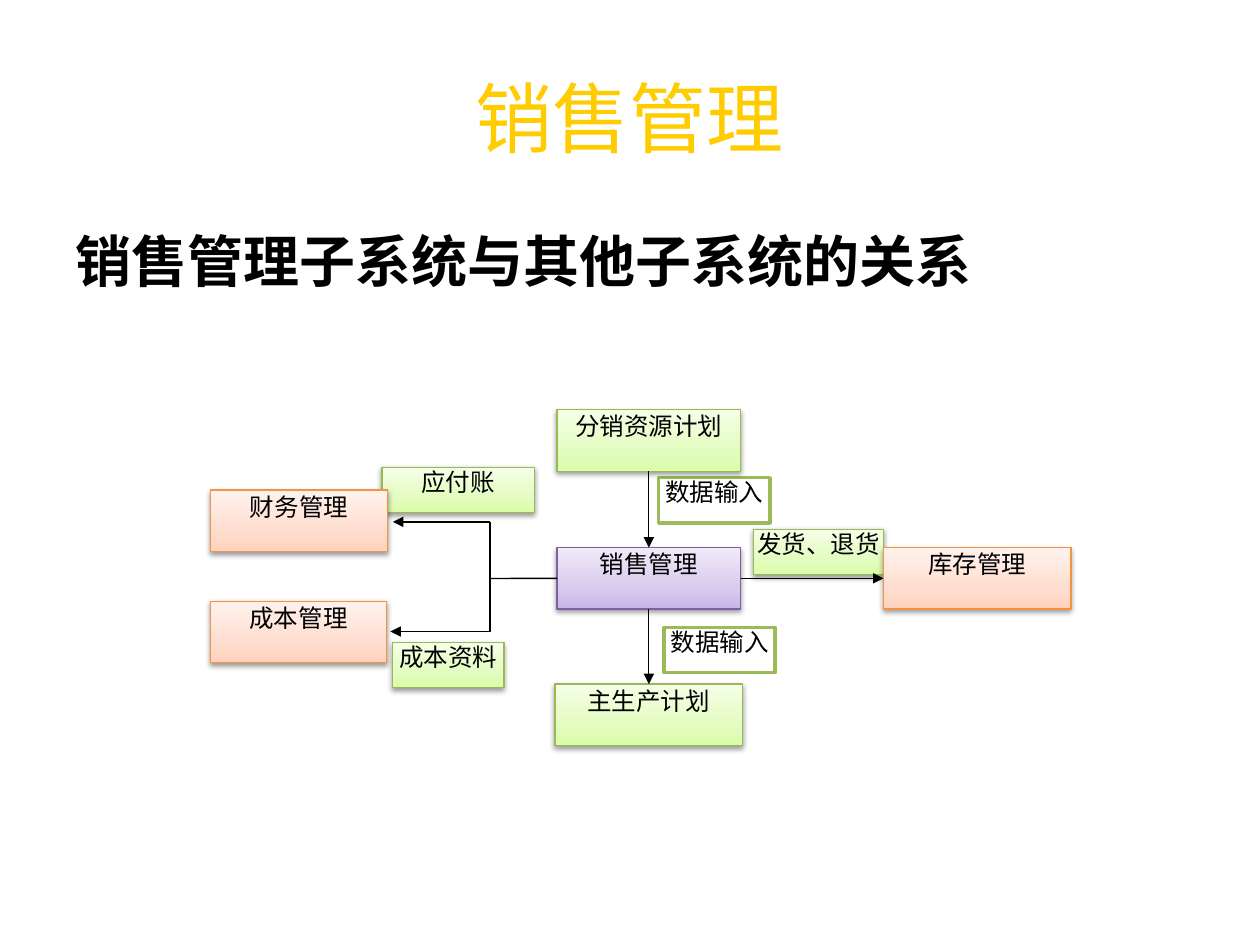
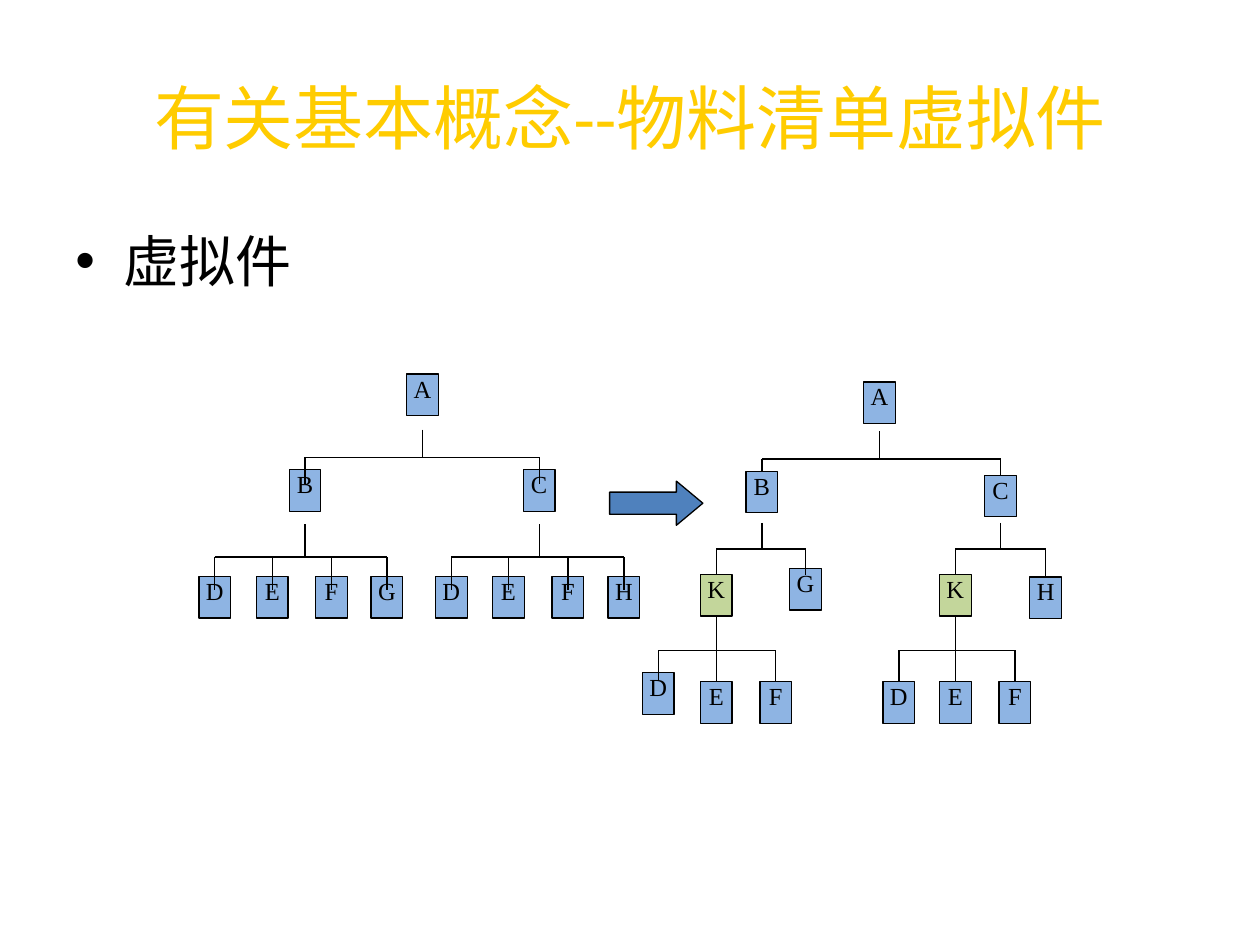
from copy import deepcopy
from dataclasses import dataclass, field
from typing import Any, Optional

import pptx
import pptx.dml.color
import pptx.enum.shapes
import pptx.enum.text
import pptx.oxml
import pptx.oxml.ns
import pptx.util
from lxml import etree

Cm = pptx.util.Cm
Pt = pptx.util.Pt
RGBColor = pptx.dml.color.RGBColor
Preset = pptx.enum.shapes.MSO_SHAPE
Align = pptx.enum.text.PP_ALIGN
Anchor = pptx.enum.text.MSO_ANCHOR
qn = pptx.oxml.ns.qn

BLACK = RGBColor(0x00, 0x00, 0x00)
WHITE = RGBColor(0xFF, 0xFF, 0xFF)
GOLD = RGBColor(0xFF, 0xCC, 0x00)
PART_BLUE = RGBColor(0x8E, 0xB4, 0xE3)
PHANTOM_GREEN = RGBColor(0xC3, 0xD6, 0x9B)
ARROW_BLUE = RGBColor(0x4F, 0x81, 0xBD)
LABEL_GREEN = RGBColor(0x9B, 0xBB, 0x59)

LATIN = "Calibri"
SERIF = "Times New Roman"
CHINESE = "Noto Sans CJK SC"

TOP, LEFT, BOTTOM, RIGHT = range(4)
NODE_WIDTH, NODE_HEIGHT = 0.64, 0.84
MODULE_HEIGHT, FLOW_HEIGHT = 1.24, 0.91
HANGING = 0.97


@dataclass(frozen=True)
class Style:
    """Look of a box; several fills make a gradient from bottom to top."""
    fills: tuple[RGBColor, ...]
    line: RGBColor = BLACK
    width: float = 0.75
    font: str = LATIN
    spacing: float = 0.96


@dataclass(frozen=True)
class Box:
    text: str
    left: float
    top: float
    width: float
    height: float
    style: Style


@dataclass(frozen=True)
class Node:
    """Part in a bill of materials; pierce is how far its line runs into it."""
    label: str
    center: float
    top: float
    pierce: float = 0
    children: list["Node"] = field(default_factory=list)
    bar: float = 0
    gap: float = 0


GREEN = Style((RGBColor(0xDA, 0xFD, 0xA7), RGBColor(0xE4, 0xFC, 0xC2), RGBColor(0xF5, 0xFF, 0xE7)),
              RGBColor(0x98, 0xB9, 0x55))
PURPLE = Style((RGBColor(0xC9, 0xB5, 0xE8), RGBColor(0xD8, 0xCB, 0xEE), RGBColor(0xF0, 0xEA, 0xF9)),
               RGBColor(0x7D, 0x60, 0xA0), spacing=1.0)
ORANGE = Style((RGBColor(0xFF, 0xD2, 0xBD), RGBColor(0xFF, 0xDE, 0xD0), RGBColor(0xFF, 0xF2, 0xED)),
               RGBColor(0xF6, 0x92, 0x40), spacing=1.0)
GREEN_MODULE = Style(GREEN.fills, GREEN.line, spacing=1.0)
OUTLINED = Style((WHITE,), LABEL_GREEN, 2)
PART = Style((PART_BLUE,), font=SERIF)
PHANTOM = Style((PHANTOM_GREEN,), font=SERIF)

FLOW_LABELS = [
    Box("应付账", 7.7, 9.42, 3.07, FLOW_HEIGHT, GREEN),
    Box("发货、退货", 15.19, 10.67, 2.62, FLOW_HEIGHT, GREEN),
    Box("成本资料", 7.92, 12.95, 2.24, FLOW_HEIGHT, GREEN),
    Box("数据输入", 13.28, 9.63, 2.24, FLOW_HEIGHT, OUTLINED),
    Box("数据输入", 13.39, 12.65, 2.24, FLOW_HEIGHT, OUTLINED),
]
MODULES = [
    Box("分销资源计划", 11.23, 8.26, 3.7, MODULE_HEIGHT, GREEN_MODULE),
    Box("销售管理", 11.23, 11.04, 3.7, MODULE_HEIGHT, PURPLE),
    Box("财务管理", 4.24, 9.88, 3.58, MODULE_HEIGHT, ORANGE),
    Box("库存管理", 17.81, 11.04, 3.78, MODULE_HEIGHT, ORANGE),
    Box("成本管理", 4.24, 12.12, 3.56, MODULE_HEIGHT, ORANGE),
    Box("主生产计划", 11.19, 13.79, 3.78, MODULE_HEIGHT, GREEN_MODULE),
]


def leaves(labels: str, centers: list[float], top: float, pierce: float = 0) -> list[Node]:
    return [Node(label, center, top, pierce) for label, center in zip(labels, centers)]


FULL_TREE = Node("A", 8.52, 7.54, bar=9.22, gap=0.28, children=[
    Node("B", 6.15, 9.47, 0.28, leaves("DEFG", [4.33, 5.49, 6.68, 7.8], 11.62, 0.27), 11.23, 0.26),
    Node("C", 10.87, 9.47, 0.28, leaves("DEFH", [9.1, 10.25, 11.45, 12.58], 11.62, 0.27), 11.23, 0.26),
])
PHANTOM_TREE = Node("A", 17.73, 7.7, bar=9.25, gap=0.15, children=[
    Node("B", 15.36, 9.5, bar=11.07, gap=0.2, children=[
        Node("K", 14.44, 11.58, bar=13.11, children=[
            Node("D", 13.27, 13.56, 0.16), *leaves("EF", [14.44, 15.64], 13.74)]),
        Node("G", 16.24, 11.46, 0.14),
    ]),
    Node("C", 20.17, 9.58, bar=11.07, gap=0.12, children=[
        Node("K", 19.26, 11.58, bar=13.11, children=leaves("DEF", [18.12, 19.26, 20.46], 13.74)),
        Node("H", 21.08, 11.63),
    ]),
])


def set_format(target: Any, values: dict[str, Any]) -> None:
    for name, value in values.items():
        setattr(target, name, value)


def write(para: Any, text: str, size: float, color: RGBColor, font: str = LATIN, bold: bool = False) -> None:
    span = para.add_run()
    span.text = text
    set_format(span.font, {"size": Pt(size), "name": font, "bold": bold})
    span.font.color.rgb = color
    latin = span.font._element.find(qn("a:latin"))
    east_asian = deepcopy(latin)
    east_asian.tag = qn("a:ea")
    east_asian.set("typeface", CHINESE)
    latin.addnext(east_asian)


def add_text(page: Any, top: float, height: float, anchor: Any) -> Any:
    frame = page.shapes.add_textbox(Cm(1.27), Cm(top), Cm(22.86), Cm(height)).text_frame
    set_format(frame, {"word_wrap": True, "vertical_anchor": anchor})
    return frame.paragraphs[0]


def add_page(deck: Any, title: str, title_size: float, heading: str, bullet: bool) -> Any:
    """Add a page with its title and either a bulleted or a bold heading."""
    page = deck.slides.add_slide(deck.slide_layouts[6])
    para = add_text(page, 0.76, 3.18, Anchor.MIDDLE)
    para.alignment = Align.CENTER
    write(para, title, title_size, GOLD)

    para = add_text(page, 4.45, 12.57, Anchor.TOP)
    properties = para._p.get_or_add_pPr()
    properties.set("marL", str(Cm(HANGING)))
    properties.set("indent", str(-Cm(HANGING)))
    if bullet:
        etree.SubElement(properties, qn("a:buFont")).set("typeface", "Arial")
        etree.SubElement(properties, qn("a:buChar")).set("char", "•")
    write(para, heading, 32, BLACK, LATIN if bullet else CHINESE, not bullet)
    return page


def fill_gradient(shape: Any, colors: tuple[RGBColor, ...]) -> None:
    shape.fill.gradient()
    shape.fill.gradient_angle = 90
    first = shape._element.spPr.find(qn("a:gradFill")).find(qn("a:gsLst"))[0]
    first.addnext(deepcopy(first))
    for stop, color, position in zip(shape.fill.gradient_stops, colors, (0, 0.35, 1)):
        stop.color.rgb = color
        stop.position = position


def add_shadow(shape: Any) -> None:
    effects = shape._element.spPr.find(qn("a:effectLst"))
    shadow = etree.SubElement(effects, qn("a:outerShdw"), blurRad=str(Pt(3.1)), dist=str(Pt(1.6)),
                              dir="5400000", rotWithShape="0")
    color = etree.SubElement(shadow, qn("a:srgbClr"), val=str(BLACK))
    etree.SubElement(color, qn("a:alpha"), val="38000")


def add_shape(page: Any, preset: Any, left: float, top: float, width: float, height: float, style: Style) -> Any:
    shape = page.shapes.add_shape(preset, Cm(left), Cm(top), Cm(width), Cm(height))
    shape.shadow.inherit = False
    shape.line.color.rgb = style.line
    shape.line.width = Pt(style.width)
    if len(style.fills) > 1:
        fill_gradient(shape, style.fills)
        add_shadow(shape)
    else:
        shape.fill.solid()
        shape.fill.fore_color.rgb = style.fills[0]
    return shape


def add_box(page: Any, box: Box) -> Any:
    shape = add_shape(page, Preset.RECTANGLE, box.left, box.top, box.width, box.height, box.style)
    frame = shape.text_frame
    set_format(frame, {"word_wrap": True, "vertical_anchor": Anchor.TOP,
                       "margin_left": Cm(0.05), "margin_right": Cm(0.05),
                       "margin_top": Cm(0.03), "margin_bottom": Cm(0.03)})
    para = frame.paragraphs[0]
    set_format(para, {"alignment": Align.CENTER, "line_spacing": box.style.spacing})
    write(para, box.text, 14, BLACK, box.style.font)
    return shape


def add_line(page: Any, start: tuple[float, float], end: tuple[float, float], arrow: bool = False,
             source: Optional[tuple[Any, int]] = None, target: Optional[tuple[Any, int]] = None) -> None:
    """Draw a line; source and target name a box and the side to join."""
    line = page.shapes.add_connector(pptx.enum.shapes.MSO_CONNECTOR.STRAIGHT, *map(Cm, start + end))
    line.line.color.rgb = BLACK
    line.line.width = Pt(0.75)
    etree.SubElement(line._element.spPr, qn("a:effectLst"))
    if arrow:
        etree.SubElement(line.line._get_or_add_ln(), qn("a:tailEnd"), type="triangle")
    if source:
        line.begin_connect(*source)
    if target:
        line.end_connect(*target)


def add_tree(page: Any, node: Node) -> Any:
    """Draw a part, everything below it, and the lines between them."""
    style = PHANTOM if node.label == "K" else PART
    shape = add_box(page, Box(node.label, node.center - NODE_WIDTH / 2, node.top, NODE_WIDTH, NODE_HEIGHT, style))
    if not node.children:
        return shape
    child_shapes = [add_tree(page, child) for child in node.children]
    stem_top = node.top + NODE_HEIGHT + node.gap
    add_line(page, (node.center, stem_top), (node.center, node.bar),
             source=None if node.gap else (shape, BOTTOM))
    add_line(page, (node.children[0].center, node.bar), (node.children[-1].center, node.bar))
    for child, child_shape in zip(node.children, child_shapes):
        add_line(page, (child.center, node.bar), (child.center, child.top + child.pierce),
                 target=None if child.pierce else (child_shape, TOP))
    return shape


def build_sales_page(deck: Any) -> None:
    page = add_page(deck, "销售管理", 44, "销售管理子系统与其他子系统的关系", bullet=False)
    for label in FLOW_LABELS:
        add_box(page, label)
    distribution, sales, _, stock, _, production = [add_box(page, module) for module in MODULES]

    add_line(page, (13.08, 9.5), (13.08, 11.04), True, (distribution, BOTTOM), (sales, TOP))
    add_line(page, (13.08, 12.28), (13.08, 13.79), True, (sales, BOTTOM), (production, TOP))
    add_line(page, (14.93, 11.66), (17.81, 11.66), True, (sales, RIGHT), (stock, LEFT))
    add_line(page, (11.23, 11.66), (9.88, 11.66), source=(sales, LEFT))
    add_line(page, (9.88, 10.52), (9.88, 12.75))
    add_line(page, (9.88, 10.52), (7.92, 10.52), True)
    add_line(page, (9.88, 12.73), (7.87, 12.73), True)


def build_phantom_page(deck: Any) -> None:
    page = add_page(deck, "有关基本概念--物料清单虚拟件", 40, "虚拟件", bullet=True)
    for tree in (FULL_TREE, PHANTOM_TREE):
        add_tree(page, tree)
    arrow = add_shape(page, Preset.RIGHT_ARROW, 12.29, 9.7, 1.88, 0.89, Style((ARROW_BLUE,)))
    arrow.adjustments[1] = 0.6


def main() -> None:
    deck = pptx.Presentation()
    set_format(deck, {"slide_width": Cm(25.4), "slide_height": Cm(19.05)})
    build_sales_page(deck)
    build_phantom_page(deck)
    deck.save("out.pptx")


if __name__ == "__main__":
    main()
